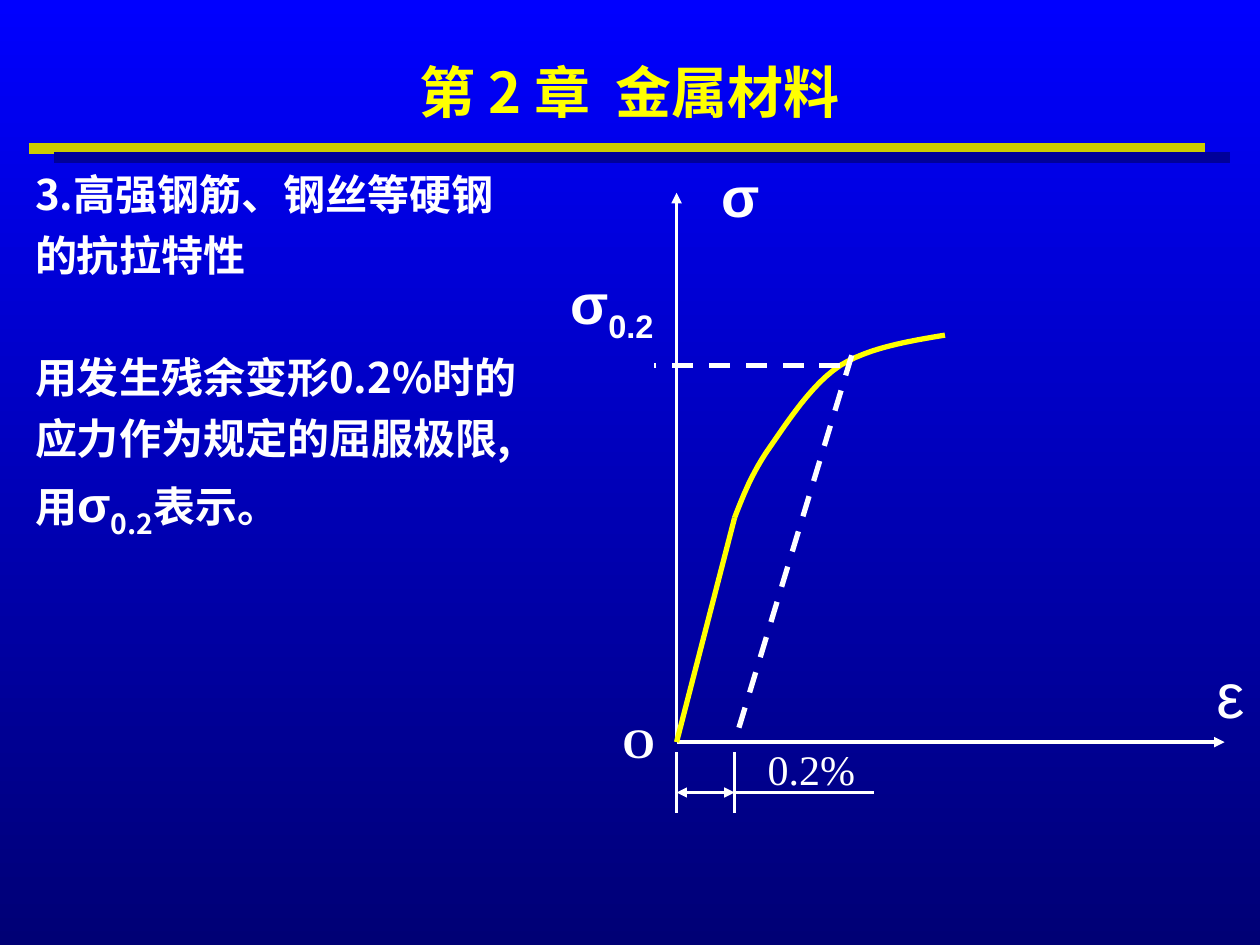
from lxml import etree
from pptx import Presentation
from pptx.dml.color import RGBColor
from pptx.enum import dml, shapes, text
from pptx.oxml import ns
from pptx.util import Inches, Pt

WHITE = RGBColor(0xFF, 0xFF, 0xFF)
YELLOW = RGBColor(0xFF, 0xFF, 0x00)
GOLD = RGBColor(0xCC, 0xCC, 0x00)
SHADE = RGBColor(0x00, 0x00, 0x99)
BLUE = RGBColor(0x00, 0x00, 0xFF)
NAVY = RGBColor(0x00, 0x00, 0x75)
CJK, SANS, SERIF = "Noto Sans CJK SC", "Arial", "Times New Roman"

deck = Presentation()
deck.slide_width, deck.slide_height = Inches(10), Inches(7.5)
page = deck.slides.add_slide(deck.slide_layouts[6])

backdrop = page.background.fill
backdrop.gradient()
backdrop.gradient_angle = 270
for stop, color, position in zip(backdrop.gradient_stops, (BLUE, NAVY), (0, 1)):
    stop.color.rgb = color
    stop.position = position


def add_line(x1, y1, x2, y2, color, width, ends=(), dashed=False):
    line = page.shapes.add_connector(
        shapes.MSO_CONNECTOR.STRAIGHT, Inches(x1), Inches(y1), Inches(x2), Inches(y2))
    line.line.color.rgb = color
    line.line.width = Pt(width)
    if dashed:
        line.line.dash_style = dml.MSO_LINE.DASH
    outline = line.line._get_or_add_ln()
    for end in ends:
        etree.SubElement(outline, ns.qn(f"a:{end}"), type="triangle")
    etree.SubElement(line._element.spPr, ns.qn("a:effectLst"))


def add_text(left, top, width, height, lines, color=WHITE, bold=True,
             inset=0.0, centered=True, wrap=True):
    box = page.shapes.add_textbox(Inches(left), Inches(top), Inches(width), Inches(height))
    frame = box.text_frame
    frame.word_wrap = wrap
    frame.margin_left = frame.margin_right = Inches(inset)
    frame.margin_top = frame.margin_bottom = Inches(inset / 2)
    frame.vertical_anchor = text.MSO_ANCHOR.MIDDLE if centered else text.MSO_ANCHOR.TOP
    for index, spans in enumerate(lines):
        para = frame.add_paragraph() if index else frame.paragraphs[0]
        para.alignment = text.PP_ALIGN.CENTER if centered else text.PP_ALIGN.LEFT
        for words, size, face, lowered in spans:
            span = para.add_run()
            span.text = words
            span.font.size = Pt(size)
            span.font.bold = bold
            span.font.color.rgb = color
            span.font.name = face
            properties = span.font._element
            etree.SubElement(properties, ns.qn("a:ea"), typeface=face)
            if lowered:
                properties.set("baseline", "-25000")
    return frame


add_line(0.23, 1.18, 9.56, 1.18, GOLD, 6)
add_line(0.43, 1.25, 9.76, 1.25, SHADE, 6)
add_text(0.75, 0.38, 8.5, 0.68, [[("第 2 章  金属材料", 32, CJK, False)]], YELLOW, inset=0.1)

statements = ["3.高强钢筋、钢丝等硬钢", "的抗拉特性", "用发生残余变形0.2%时的", "应力作为规定的屈服极限,"]
body_lines = [[(words, 24, CJK, False)] for words in statements]
body_lines.append([("用", 24, CJK, False), ("σ", 28, SANS, False),
                   ("0.2", 28, CJK, True), ("表示。", 24, CJK, False)])
body = add_text(0.18, 1.29, 9.63, 5.12, body_lines, inset=0.1, centered=False)
for para, gap in zip(body.paragraphs, (0, 6, 41, 6, 6)):
    para.space_before = Pt(gap)

origin_x, origin_y, offset_x = 5.37, 5.89, 5.83
yield_x, yield_y = 6.67, 2.9
elastic_y, dimension_y = 4.11, 6.29

add_line(origin_x, 1.53, origin_x, origin_y, WHITE, 2, ["headEnd"])
add_line(origin_x, origin_y, 9.72, origin_y, WHITE, 2, ["tailEnd"])
add_line(origin_x, origin_y, offset_x, elastic_y, YELLOW, 3)

segments = [
    ((offset_x, elastic_y), (5.9, 3.93), (5.97, 3.75), (6.11, 3.55)),
    ((6.11, 3.55), (6.25, 3.35), (6.44, 3.05), (yield_x, yield_y)),
    ((yield_x, yield_y), (6.9, 2.76), (7.2, 2.71), (7.5, 2.66)),
]
steps = 12
points = []
for segment in segments:
    for step in range(1, steps + 1):
        t = step / steps
        weights = ((1 - t) ** 3, 3 * t * (1 - t) ** 2, 3 * t ** 2 * (1 - t), t ** 3)
        points.append(tuple(
            Inches(sum(w * p[axis] for w, p in zip(weights, segment))) for axis in (0, 1)))
builder = page.shapes.build_freeform(Inches(offset_x), Inches(elastic_y))
builder.add_line_segments(points, close=False)
curve = builder.convert_to_shape()
curve.shadow.inherit = False
curve.fill.background()
curve.line.color.rgb = YELLOW
curve.line.width = Pt(3)

add_line(6.76, 2.82, offset_x, origin_y, WHITE, 3, dashed=True)
add_line(yield_x, yield_y, 5.19, yield_y, WHITE, 3, dashed=True)
for x in (origin_x, offset_x):
    add_line(x, 5.97, x, 6.45, WHITE, 1.5)
add_line(origin_x, dimension_y, offset_x, dimension_y, WHITE, 1.5, ["headEnd", "tailEnd"])
add_line(offset_x, dimension_y, 6.94, dimension_y, WHITE, 1.5)

add_text(5.55, 1.28, 0.65, 0.53, [[("σ", 32, SANS, False)]])
add_text(9.53, 5.15, 0.47, 0.7, [[("ε", 36, SANS, False)]], bold=False, inset=0.1)
add_text(4.84, 5.64, 0.46, 0.5, [[("O", 24, SERIF, False)]], inset=0.1, wrap=False)
add_text(6.09, 5.9, 0.7, 0.4, [[("0.2%", 24, SERIF, False)]], bold=False, wrap=False)
add_text(4.44, 2.13, 0.83, 0.61, [[("σ", 32, SANS, False), ("0.2", 32, SANS, True)]])

deck.save("out.pptx")
